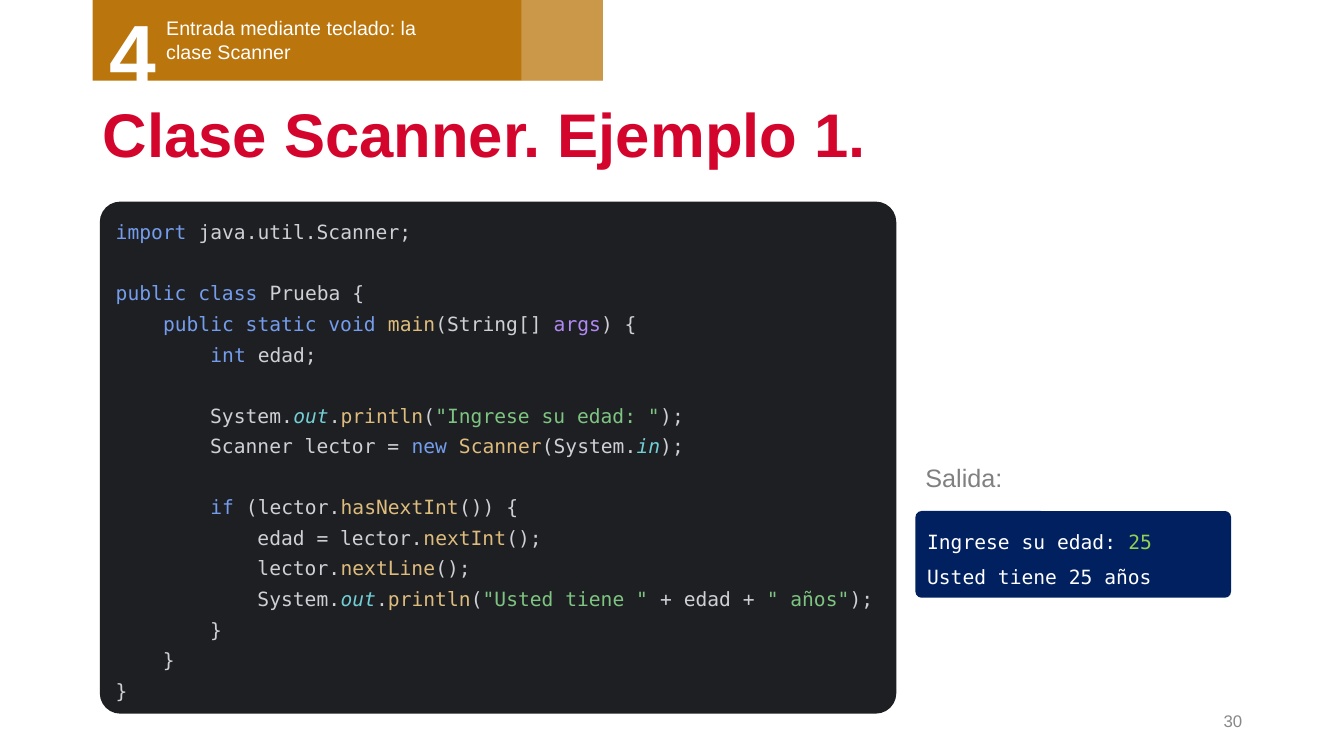
from copy import deepcopy

from lxml import etree
from pptx import Presentation
from pptx.dml.color import RGBColor
from pptx.enum.shapes import MSO_SHAPE
from pptx.enum.text import MSO_ANCHOR, MSO_AUTO_SIZE, PP_ALIGN
from pptx.oxml.ns import qn
from pptx.util import Pt

EMU_PER_PX = 9144  # 100 px to the inch
TITLE_ONLY = 5

RECT, ROUNDED = MSO_SHAPE.RECTANGLE, MSO_SHAPE.ROUNDED_RECTANGLE
TOP, MIDDLE = MSO_ANCHOR.TOP, MSO_ANCHOR.MIDDLE
LEFT, RIGHT = PP_ALIGN.LEFT, PP_ALIGN.RIGHT
NO_AUTOFIT = MSO_AUTO_SIZE.NONE

SANS, MONO = "Arial", "DejaVu Sans Mono"

WHITE = RGBColor(0xFF, 0xFF, 0xFF)
RED = RGBColor(0xD3, 0x05, 0x2C)
OCHRE = RGBColor(0xBA, 0x75, 0x0D)
NAVY = RGBColor(0x00, 0x20, 0x60)
LIME = RGBColor(0x92, 0xD0, 0x50)
LABEL_GREY = RGBColor(0x80, 0x80, 0x80)
NUMBER_GREY = RGBColor(0x88, 0x88, 0x88)
EDITOR = RGBColor(0x1E, 0x1F, 0x22)

# Syntax colours
PLAIN = RGBColor(0xCE, 0xD0, 0xD6)
KEYWORD = RGBColor(0x74, 0x9D, 0xED)
METHOD = RGBColor(0xDE, 0xBC, 0x7E)
PARAMETER = RGBColor(0xB1, 0x89, 0xF5)
FIELD = RGBColor(0x72, 0xCF, 0xD6)
STRING = RGBColor(0x7E, 0xC4, 0x82)

JAVA_CODE = [
    ("import ", KEYWORD), ("java.util.Scanner;\n\n", PLAIN),
    ("public class ", KEYWORD), ("Prueba {\n    ", PLAIN),
    ("public static void ", KEYWORD), ("main", METHOD), ("(String[] ", PLAIN),
    ("args", PARAMETER), (") {\n        ", PLAIN),
    ("int ", KEYWORD), ("edad;\n\n        System.", PLAIN),
    ("out", FIELD), (".", PLAIN), ("println", METHOD), ("(", PLAIN),
    ('"Ingrese su edad: "', STRING), (");\n        Scanner lector = ", PLAIN),
    ("new ", KEYWORD), ("Scanner", METHOD), ("(System.", PLAIN),
    ("in", FIELD), (");\n\n        ", PLAIN),
    ("if ", KEYWORD), ("(lector.", PLAIN), ("hasNextInt", METHOD),
    ("()) {\n            edad = lector.", PLAIN), ("nextInt", METHOD),
    ("();\n            lector.", PLAIN), ("nextLine", METHOD),
    ("();\n            System.", PLAIN),
    ("out", FIELD), (".", PLAIN), ("println", METHOD), ("(", PLAIN),
    ('"Usted tiene " ', STRING), ("+ edad + ", PLAIN), ('" años"', STRING),
    (");\n        }\n    }\n}", PLAIN),
]

CONSOLE_OUTPUT = [
    [("Ingrese su edad: ", WHITE), ("25", LIME)],
    [("Usted tiene 25 años", WHITE)],
]


def px(*lengths):
    return [length * EMU_PER_PX for length in lengths]


def add_run(paragraph, text, color, font, size, bold):
    """Add text in one colour; each newline becomes a line break of the same size."""
    for index, line in enumerate(text.split("\n")):
        if index:
            paragraph.add_line_break()
            paragraph._p[-1].append(deepcopy(run._r.rPr))
        run = paragraph.add_run()
        run.text = line
        run.font.name, run.font.size, run.font.bold = font, Pt(size), bold
        run.font.italic = color == FIELD
        run.font.color.rgb = color


def write_text(shape, paragraphs, font=SANS, size=14, bold=False,
               align=LEFT, anchor=TOP, line_spacing=1.0):
    """Fill a shape with paragraphs, each a list of (text, colour) runs."""
    frame = shape.text_frame
    frame.word_wrap = True
    frame.auto_size = NO_AUTOFIT
    frame.vertical_anchor = anchor
    for index, runs in enumerate(paragraphs):
        paragraph = frame.add_paragraph() if index else frame.paragraphs[0]
        paragraph.alignment = align
        paragraph.line_spacing = line_spacing
        for text, color in runs:
            add_run(paragraph, text, color, font, size, bold)


def add_label(shapes, box, text, color, **text_format):
    label = shapes.add_textbox(*px(*box))
    write_text(label, [[(text, color)]], **text_format)


def add_panel(shapes, kind, box, fill, corner=None, opacity=None):
    panel = shapes.add_shape(kind, *px(*box))
    panel.shadow.inherit = False
    panel.line.fill.background()
    panel.fill.solid()
    panel.fill.fore_color.rgb = fill
    if corner is not None:
        panel.adjustments[0] = corner
    if opacity is not None:
        fill_color = panel.fill._xPr.find(".//" + qn("a:srgbClr"))
        etree.SubElement(fill_color, qn("a:alpha"), val=str(opacity * 1000))
    return panel


def add_section_header(slide):
    header = slide.shapes.add_group_shape().shapes
    add_panel(header, RECT, (92, 0, 506, 80), OCHRE)
    add_label(header, (155, 11, 275, 57),
              "Entrada mediante teclado: la clase Scanner", WHITE)
    add_label(header, (99, -4, 112, 111), "4", WHITE, size=60, bold=True)
    add_panel(header, RECT, (517, 0, 81, 80), WHITE, opacity=25)


def main():
    presentation = Presentation()
    presentation.slide_width, presentation.slide_height = px(1333, 750)
    slide = presentation.slides.add_slide(presentation.slide_layouts[TITLE_ONLY])
    shapes = slide.shapes

    # Title and slide number
    title = shapes.title
    title.left, title.top, title.width, title.height = px(92, 93, 1150, 86)
    write_text(title, [[("Clase Scanner. Ejemplo 1.", RED)]],
               size=44, bold=True, anchor=MIDDLE, line_spacing=0.9)
    add_label(shapes, (942, 695, 300, 40), "30", NUMBER_GREY,
              size=12, align=RIGHT, anchor=MIDDLE)

    # Console output
    console = add_panel(shapes, ROUNDED, (908, 507, 313, 86), NAVY, corner=0.07)
    write_text(console, CONSOLE_OUTPUT, font=MONO, line_spacing=1.5)
    add_label(shapes, (908, 454, 221, 40), "Salida:", LABEL_GREY, size=18)

    # Source code
    editor = add_panel(shapes, ROUNDED, (99, 200, 790, 508), EDITOR, corner=0.04)
    write_text(editor, [JAVA_CODE], font=MONO, anchor=MIDDLE, line_spacing=1.3)

    add_section_header(slide)
    presentation.save("out.pptx")


if __name__ == "__main__":
    main()
